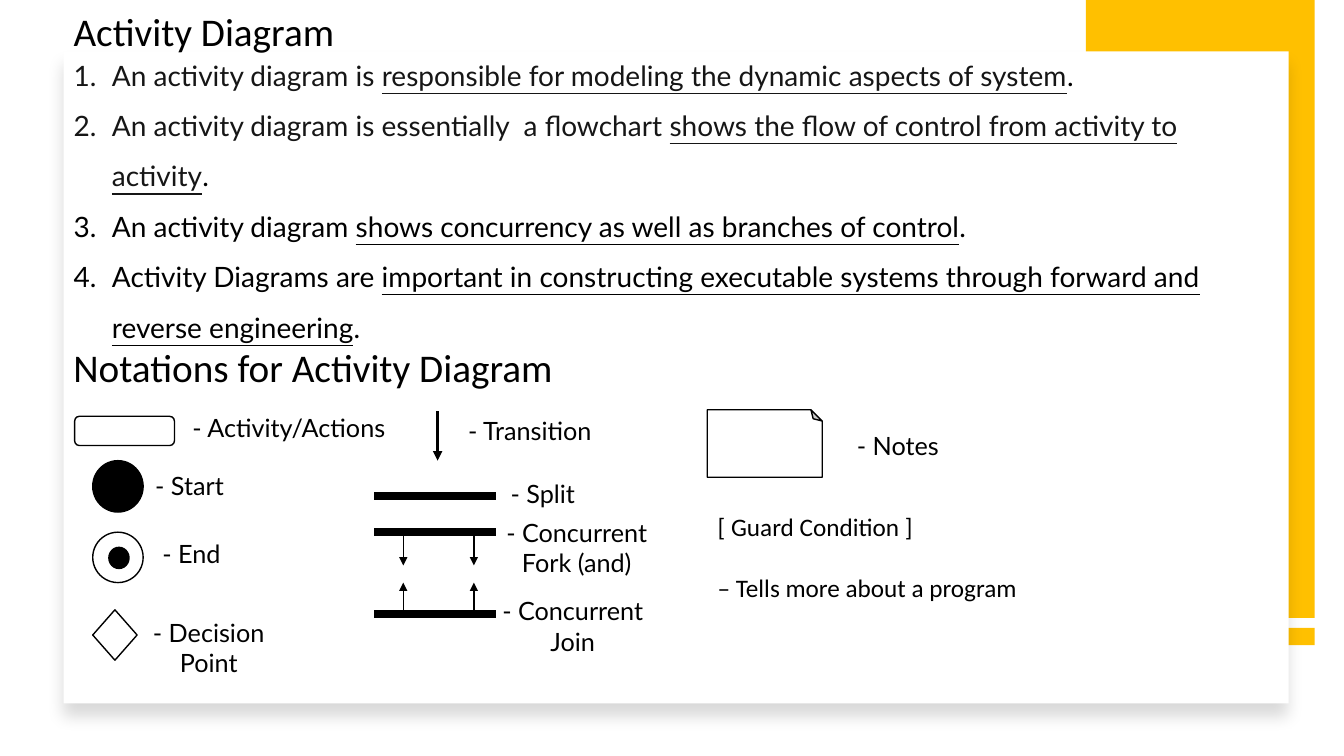
from collections import namedtuple

from lxml.etree import SubElement
from pptx import Presentation
from pptx.dml.color import RGBColor
from pptx.enum.shapes import MSO_CONNECTOR, MSO_SHAPE
from pptx.enum.text import MSO_ANCHOR, MSO_AUTO_SIZE, PP_ALIGN
from pptx.oxml.ns import qn
from pptx.util import Inches, Pt

# The page is a grid of square cells, ten to the inch
Box = namedtuple("Box", "left top width height")
BLACK, WHITE, GOLD, INK = "000000", "FFFFFF", "FFC000", "161616"

POINTS = [
    (INK, "An activity diagram is ",
     "responsible for modeling the dynamic aspects of system"),
    (INK, "An activity diagram is essentially  a flowchart ",
     "shows the flow of control from activity to activity"),
    (BLACK, "An activity diagram ",
     "shows concurrency as well as branches of control"),
    (BLACK, "Activity Diagrams are ",
     "important in constructing executable systems through forward and reverse engineering"),
]


def cells(count):
    return Inches(count / 10)


def color(hex_code):
    return RGBColor.from_string(hex_code)


def inside(region, left, top, width, height):
    """Box given in cells from the corner of a region."""
    return Box(region.left + left, region.top + top, width, height)


def place(item, box):
    item.left, item.top, item.width, item.height = map(cells, box)


def add_span(para, text, size=18, font="Calibri", ink=BLACK, underline=False):
    span = para.add_run()
    span.text = text
    span.font.size, span.font.name = Pt(size), font
    span.font.color.rgb = color(ink)
    span.font.underline = underline


def add_text(page, box, *lines, align=PP_ALIGN.LEFT, gap=0, **style):
    frame = page.shapes.add_textbox(*map(cells, box)).text_frame
    frame.word_wrap = True
    for index, line in enumerate(lines):
        para = frame.add_paragraph() if index else frame.paragraphs[0]
        para.alignment = align
        para.space_before = Pt(gap if index else 0)
        add_span(para, line, **style)


def add_label(page, box, text):
    add_text(page, box, text, align=PP_ALIGN.CENTER, font="Lato")


def add_symbol(page, kind, box, fill=WHITE, line=BLACK):
    symbol = page.shapes.add_shape(kind, *map(cells, box))
    symbol.shadow.inherit = False
    symbol.fill.solid()
    symbol.fill.fore_color.rgb = color(fill)
    if line:
        symbol.line.color.rgb = color(line)
        symbol.line.width = Pt(1)
    else:
        symbol.line.fill.background()
    return symbol


def add_line(page, region, start, end, width=1, arrow=False):
    ends = [cells(region[axis] + point[axis]) for point in (start, end) for axis in (0, 1)]
    line = page.shapes.add_connector(MSO_CONNECTOR.STRAIGHT, *ends)
    line.line.color.rgb = color(BLACK)
    line.line.width = Pt(width)
    if arrow:
        SubElement(line.line._get_or_add_ln(), qn("a:tailEnd"), type="triangle")
    SubElement(line._element.spPr, qn("a:effectLst"))


def add_shadow(shape, alpha, blur, distance):
    """Soft shadow that falls straight down."""
    effects = shape._element.spPr.find(qn("a:effectLst"))
    shadow = SubElement(effects, qn("a:outerShdw"), blurRad=str(Pt(blur)),
                        dist=str(Pt(distance)), dir="5400000", algn="t", rotWithShape="0")
    tint = SubElement(shadow, qn("a:srgbClr"), val=BLACK)
    SubElement(tint, qn("a:alpha"), val=str(alpha * 1000))


def draw_backdrop(page, card):
    gold = Box(107.7, 0, 22.7, 61.3)
    for box in (gold, inside(gold, 0, 62.3, gold.width, 1.7)):
        add_symbol(page, MSO_SHAPE.RECTANGLE, box, GOLD, None)
    add_shadow(add_symbol(page, MSO_SHAPE.RECTANGLE, card, WHITE, None), 15, 11, 10)


def fill_title(title, box):
    place(title, box)
    frame = title.text_frame
    frame.auto_size, frame.vertical_anchor = MSO_AUTO_SIZE.NONE, MSO_ANCHOR.TOP
    frame.paragraphs[0].alignment = PP_ALIGN.LEFT
    add_span(frame.paragraphs[0], "Activity Diagram", size=28)


def fill_points(body, box):
    place(body, box)
    frame = body.text_frame
    frame.auto_size, frame.word_wrap = MSO_AUTO_SIZE.NONE, True
    for index, (ink, opening, stress) in enumerate(POINTS):
        para = frame.add_paragraph() if index else frame.paragraphs[0]
        props = para._p.get_or_add_pPr()
        props.set("marL", str(cells(3.8)))
        props.set("indent", str(cells(-3.8)))
        SubElement(props, qn("a:buFont"), typeface="+mj-lt")
        SubElement(props, qn("a:buAutoNum"), type="arabicPeriod")
        para.line_spacing, para.space_before = 1.5, Pt(0)
        style = {"size": 20, "font": "Lato"}
        add_span(para, opening, ink=ink, **style)
        add_span(para, stress, ink=ink, underline=True, **style)
        add_span(para, ".", **style)


def draw_states(page, region):
    circle = MSO_SHAPE.FLOWCHART_CONNECTOR
    symbols = [
        (MSO_SHAPE.FLOWCHART_ALTERNATE_PROCESS, (0.4, 1.3, 9.9, 2.9), WHITE),
        (circle, (2.2, 5.7, 5, 5.1), BLACK),
        (circle, (2.2, 12.8, 5, 5), WHITE),
        (circle, (3.8, 14.3, 2, 2.1), BLACK),
        (MSO_SHAPE.DIAMOND, (2.2, 20.5, 4.4, 5), WHITE),
    ]
    for kind, spot, fill in symbols:
        add_symbol(page, kind, inside(region, *spot), fill)
    add_label(page, inside(region, 10.3, 0.4, 22.7, 4), "- Activity/Actions")
    add_label(page, inside(region, 6.1, 6.2, 11.4, 4), "- Start")
    add_label(page, inside(region, 6.3, 12.9, 11.4, 4), "- End")
    add_label(page, inside(region, 6.6, 20.7, 14.2, 7.1), "- Decision Point")


def draw_flows(page, region):
    add_line(page, region, (6.4, 0.8), (6.4, 5.7), 2.25, arrow=True)
    for row in (9.2, 12.8, 20.9):
        add_line(page, region, (0.1, row), (12.2, row), 6)
    for column in (3, 10):
        for start, end in ((13, 16.1), (20.5, 17.8)):
            add_line(page, region, (column, start), (column, end), arrow=True)
    add_label(page, inside(region, 7.8, 0.7, 15.5, 4), "- Transition")
    add_label(page, inside(region, 11.2, 7, 11.3, 4), "- Split")
    add_label(page, inside(region, 11.1, 10.8, 18.2, 7.1), "- Concurrent Fork (and)")
    add_label(page, inside(region, 11.4, 18.6, 16.8, 7.1), "- Concurrent Join")


def draw_notes(page, region):
    note = add_symbol(page, MSO_SHAPE.FOLDED_CORNER, inside(region, 2.5, 0.3, 6.7, 11.4))
    note.rotation = 270
    add_label(page, inside(region, 11.3, 4.2, 15.5, 4), "- Notes")
    add_text(page, inside(region, 0.2, 12.2, 32.3, 10.1),
             "[ Guard Condition ]", "– Tells more about a program", gap=22)


def main():
    deck = Presentation()
    deck.slide_width, deck.slide_height = Inches(13.33), Inches(7.5)
    page = deck.slides.add_slide(deck.slide_layouts[1])
    title, body = page.placeholders
    card = Box(6.3, 5.1, 121.5, 64.7)

    draw_backdrop(page, card)
    # Bring the placeholders in front of the card
    for holder in (title, body):
        page.shapes._spTree.append(holder._element)
    fill_title(title, Box(card.left, 0.2, 34.1, 5.7))
    fill_points(body, Box(card.left, 3.6, 120.7, 30.8))

    # Notation key in three columns
    add_text(page, Box(card.left, 33.6, 58.3, 5.7), "Notations for Activity Diagram", size=28)
    draw_states(page, Box(7, 40, 30, 28))
    draw_flows(page, Box(37, 40, 30, 28))
    draw_notes(page, Box(70, 38, 33, 23))
    deck.save("out.pptx")


if __name__ == "__main__":
    main()
